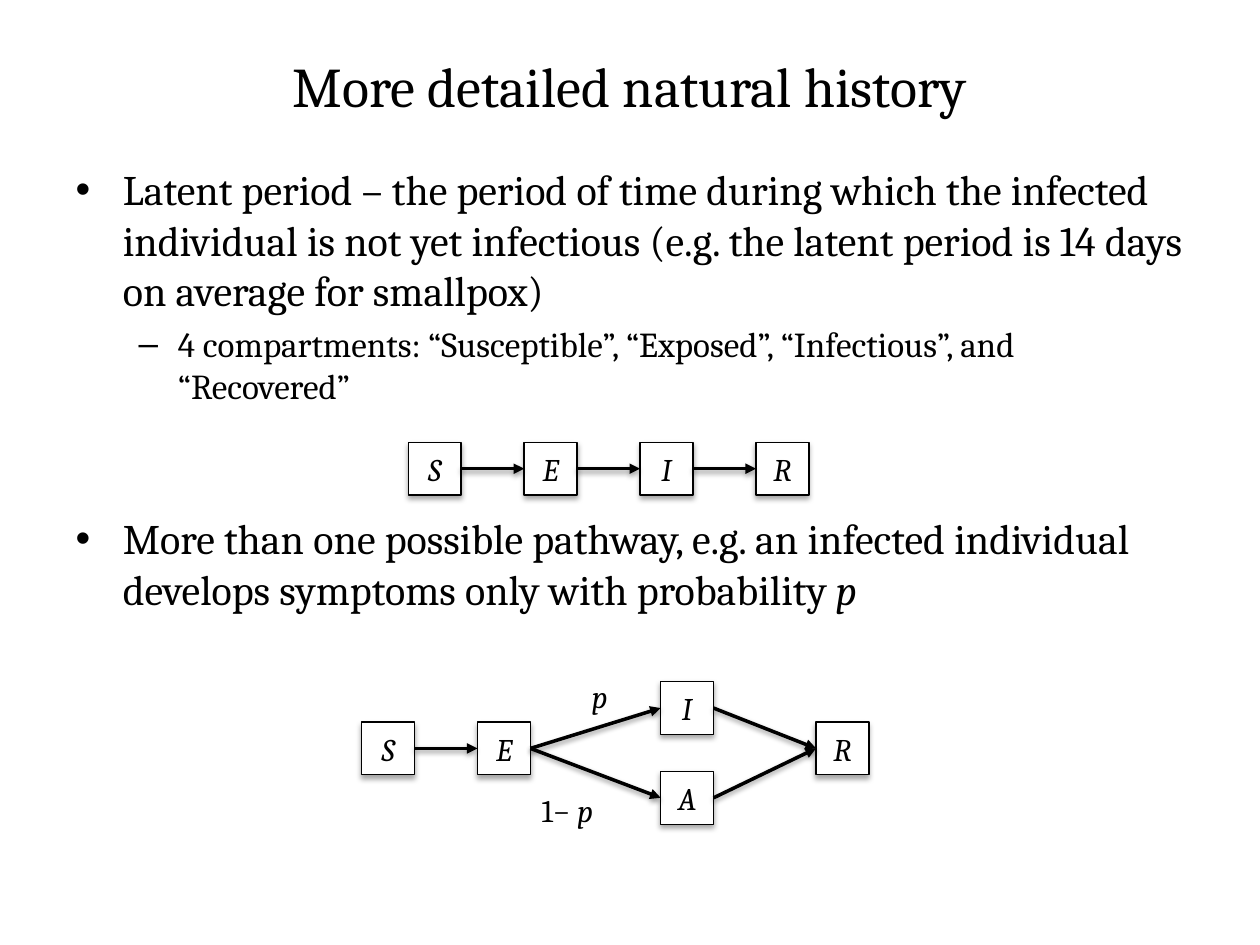
from dataclasses import dataclass

from lxml import etree
from pptx import Presentation
from pptx import util as u
from pptx.dml.color import RGBColor
from pptx.enum import shapes, text
from pptx.oxml.ns import qn


@dataclass(frozen=True)
class Theme:
    """Colours, font, type sizes and line weights of the slide."""
    ink: RGBColor = RGBColor(0, 0, 0)
    paper: RGBColor = RGBColor(255, 255, 255)
    font: str = "Cambria"
    title: int = 32
    levels: tuple = (24, 20)
    label: int = 18
    box_line: float = 0.75
    arrow_line: float = 2


THEME = Theme()
WIDTH, HEIGHT = u.Inches(10), u.Inches(7.5)
COLUMN, ROW, BOX = u.Inches(0.92), u.Inches(0.4), u.Inches(0.42)
CHAIN_ORIGIN = u.Inches(3.24), u.Inches(3.51)
BRANCH_ORIGIN = u.Inches(2.87), u.Inches(5.73)


def add_run(paragraph, words, size, italic=False):
    """Add one formatted run to a paragraph."""
    run = paragraph.add_run()
    run.text = words
    run.font.name = THEME.font
    run.font.size = u.Pt(size)
    run.font.italic = italic
    run.font.color.rgb = THEME.ink


def move(shape, left, top, width, height):
    """Place a shape by shares of the slide's size."""
    shape.left, shape.top = int(WIDTH * left), int(HEIGHT * top)
    shape.width, shape.height = int(WIDTH * width), int(HEIGHT * height)


def add_shadow(shape, distance, opacity):
    """Give a shape a soft shadow that falls straight down."""
    effects = etree.SubElement(shape._element.spPr, qn("a:effectLst"))
    shadow = etree.SubElement(
        effects, qn("a:outerShdw"), blurRad=str(u.Pt(3.1)),
        dist=str(u.Pt(distance)), dir="5400000", rotWithShape="0")
    colour = etree.SubElement(shadow, qn("a:srgbClr"), val=str(THEME.ink))
    etree.SubElement(colour, qn("a:alpha"), val=str(opacity * 1000))


def add_compartment(slide, origin, name, column, row=0):
    """Add a lettered compartment at a grid position."""
    left, top = origin
    box = slide.shapes.add_shape(
        shapes.MSO_SHAPE.RECTANGLE, int(left + column * COLUMN),
        int(top + row * ROW), BOX, BOX)
    box.fill.solid()
    box.fill.fore_color.rgb = THEME.paper
    box.line.color.rgb = THEME.ink
    box.line.width = u.Pt(THEME.box_line)
    add_shadow(box, 1.8, 35)
    frame = box.text_frame
    frame.margin_left = frame.margin_right = 0
    frame.vertical_anchor = text.MSO_ANCHOR.MIDDLE
    paragraph = frame.paragraphs[0]
    paragraph.alignment = text.PP_ALIGN.CENTER
    add_run(paragraph, name, THEME.label, italic=True)
    return box


def add_arrow(slide, source, target):
    """Connect the right side of one box to the left side of another."""
    arrow = slide.shapes.add_connector(shapes.MSO_CONNECTOR.STRAIGHT, 0, 0, 0, 0)
    arrow.begin_connect(source, 3)
    arrow.end_connect(target, 1)
    arrow.line.color.rgb = THEME.ink
    arrow.line.width = u.Pt(THEME.arrow_line)
    line = arrow._element.spPr.find(qn("a:ln"))
    etree.SubElement(line, qn("a:tailEnd"), type="triangle")
    add_shadow(arrow, 1.6, 38)


def add_diagram(slide, origin, positions, links):
    """Add compartments and the arrows between them."""
    boxes = {name: add_compartment(slide, origin, name, *position)
             for name, position in positions.items()}
    for source, target in links:
        add_arrow(slide, boxes[source], boxes[target])


def add_label(slide, area, runs):
    """Add a probability label beside a branch."""
    label = slide.shapes.add_textbox(0, 0, 0, 0)
    move(label, *area)
    label.text_frame.word_wrap = False
    for words, italic in runs:
        add_run(label.text_frame.paragraphs[0], words, THEME.label, italic)


def fill_title(slide, words):
    """Fill and place the title placeholder."""
    title = slide.shapes.title
    move(title, 0.05, 0.04, 0.9, 0.1)
    title.text_frame.vertical_anchor = text.MSO_ANCHOR.MIDDLE
    add_run(title.text_frame.paragraphs[0], words, THEME.title)


def fill_body(slide, items):
    """Fill the body placeholder with levelled bullets."""
    body = slide.placeholders[1]
    move(body, 0.05, 1 / 6, 0.9, 0.8)
    frame = body.text_frame
    frame.auto_size = text.MSO_AUTO_SIZE.NONE
    for index, (level, gap, runs) in enumerate(items):
        paragraph = frame.add_paragraph() if index else frame.paragraphs[0]
        paragraph.level = level
        paragraph.space_before = u.Pt(gap)
        for words, italic in runs:
            add_run(paragraph, words, THEME.levels[level], italic)


def main():
    """Build and save the slide."""
    presentation = Presentation()
    presentation.slide_width, presentation.slide_height = WIDTH, HEIGHT
    slide = presentation.slides.add_slide(presentation.slide_layouts[1])
    fill_title(slide, "More detailed natural history")
    fill_body(slide, [
        (0, 0, [("Latent period – the period of time during which the infected "
                 "individual is not yet infectious (e.g. the latent period is "
                 "14 days on average for smallpox)", False)]),
        (1, 4, [("4 compartments: “Susceptible”, “Exposed”, “Infectious”, "
                 "and “Recovered”", False)]),
        (0, 61, [("More than one possible pathway, e.g. an infected individual "
                  "develops symptoms only with probability ", False),
                 ("p", True)]),
    ])
    add_diagram(slide, CHAIN_ORIGIN,
                {name: (column,) for column, name in enumerate("SEIR")},
                ["SE", "EI", "IR"])
    add_diagram(slide, BRANCH_ORIGIN,
                {"S": (0,), "E": (1,), "I": (2.58, -0.8),
                 "A": (2.58, 0.98), "R": (3.92,)},
                ["SE", "EI", "IR", "EA", "AR"])
    add_label(slide, (0.46, 0.71, 0.03, 0.05), [("p", True)])
    add_label(slide, (0.42, 0.83, 0.07, 0.05), [("1− ", False), ("p", True)])
    presentation.save("out.pptx")


if __name__ == "__main__":
    main()
